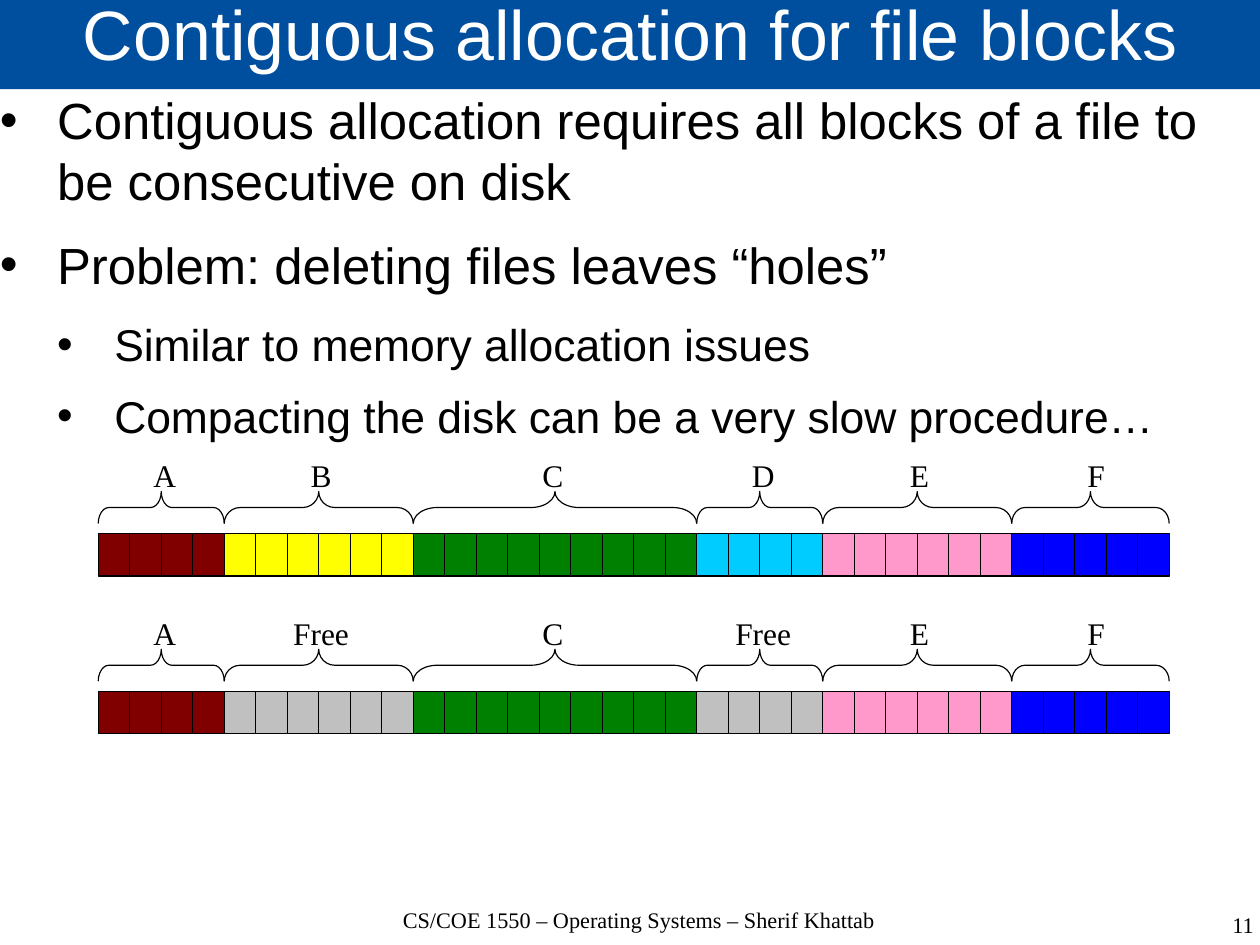
from dataclasses import dataclass

from lxml import etree
from pptx import Presentation
from pptx.dml.color import RGBColor
from pptx.enum.shapes import MSO_SHAPE
from pptx.enum.text import MSO_ANCHOR, MSO_AUTO_SIZE, PP_ALIGN
from pptx.oxml.ns import qn
from pptx.util import Inches, Pt

RECT, BRACE = MSO_SHAPE.RECTANGLE, MSO_SHAPE.RIGHT_BRACE
CENTER, RIGHT = PP_ALIGN.CENTER, PP_ALIGN.RIGHT
MIDDLE, TOP = MSO_ANCHOR.MIDDLE, MSO_ANCHOR.TOP
NO_FIT, GROW = MSO_AUTO_SIZE.NONE, MSO_AUTO_SIZE.SHAPE_TO_FIT_TEXT
CM_PER_INCH = 2.54


@dataclass(frozen=True)
class Theme:
    sans: str = "Arial"
    serif: str = "Times New Roman"
    title: float = 44
    bullets: tuple = (32, 28)
    label: float = 19.8
    footer: float = 14
    line: float = 0.75
    banner: str = "004F9E"
    white: str = "FFFFFF"
    ink: str = "000000"
    maroon: str = "800000"
    yellow: str = "FFFF00"
    green: str = "008000"
    cyan: str = "00CCFF"
    pink: str = "FF99CC"
    blue: str = "0000FF"
    gray: str = "C0C0C0"


T = Theme()
BULLETS = [
    (0, "Contiguous allocation requires all blocks of a file to be consecutive on disk"),
    (0, "Problem: deleting files leaves “holes”"),
    (1, "Similar to memory allocation issues"),
    (1, "Compacting the disk can be a very slow procedure…"),
]
FILES = [
    ("A", 4, T.maroon, 0.03),
    ("B", 6, T.yellow, 0.02),
    ("C", 9, T.green, -0.02),
    ("D", 4, T.cyan, 0.03),
    ("E", 6, T.pink, 0.02),
    ("F", 5, T.blue, 0.05),
]
DELETED = ("B", "D")


def rgb(color):
    return RGBColor.from_string(color)


def add_run(p, text, size, font, color=T.ink):
    r = p.add_run()
    r.text = text
    r.font.size = Pt(size)
    r.font.name = font
    r.font.color.rgb = rgb(color)


def set_frame(tf, anchor=TOP):
    tf.margin_left = tf.margin_right = tf.margin_top = tf.margin_bottom = 0
    tf.auto_size = NO_FIT
    tf.word_wrap = True
    tf.vertical_anchor = anchor


def add_shape(s, kind, x, y, w, h, fill=None):
    sp = s.shapes.add_shape(kind, Inches(x), Inches(y), Inches(w), Inches(h))
    sp.shadow.inherit = False
    if fill:
        sp.fill.solid()
        sp.fill.fore_color.rgb = rgb(fill)
    else:
        sp.fill.background()
    sp.line.color.rgb = rgb(T.ink)
    sp.line.width = Pt(T.line)
    return sp


def add_title(s, x, y, w, h):
    sp = s.shapes.title
    sp.left, sp.top, sp.width, sp.height = map(Inches, (x, y, w, h))
    sp.fill.solid()
    sp.fill.fore_color.rgb = rgb(T.banner)
    set_frame(sp.text_frame, MIDDLE)
    p = sp.text_frame.paragraphs[0]
    p.alignment = CENTER
    p.line_spacing = 0.69
    add_run(p, "Contiguous allocation for file blocks", T.title, T.sans, T.white)


def add_bullet(p, level):
    pPr = p._p.get_or_add_pPr()
    pPr.set("marL", str(Inches(0.5 * (level + 1))))
    pPr.set("indent", str(-Inches(0.5)))
    color = etree.SubElement(pPr, qn("a:buClr"))
    etree.SubElement(color, qn("a:srgbClr"), val=T.ink)
    etree.SubElement(pPr, qn("a:buFont"), typeface=T.sans)
    etree.SubElement(pPr, qn("a:buChar"), char="•")


def add_bullets(s, x, y, w, h):
    tf = s.shapes.add_textbox(Inches(x), Inches(y), Inches(w), Inches(h)).text_frame
    set_frame(tf)
    for i, (level, text) in enumerate(BULLETS):
        p = tf.add_paragraph() if i else tf.paragraphs[0]
        p.level = level
        p.line_spacing = 1.0
        p.space_after = Pt((14.2, 11.4)[level])
        add_bullet(p, level)
        add_run(p, text, T.bullets[level], T.sans)


def add_footer(s, text, align, x, y, w, h):
    tf = s.shapes.add_textbox(Inches(x), Inches(y), Inches(w), Inches(h)).text_frame
    set_frame(tf)
    p = tf.paragraphs[0]
    p.alignment = align
    p.line_spacing = 0.96
    add_run(p, text, T.footer, T.serif)


def add_label(s, text, center, y):
    w = 0.3 + 0.1 * len(text)
    sp = s.shapes.add_textbox(Inches(center - w / 2), Inches(y), Inches(w), Inches(0.43))
    tf = sp.text_frame
    tf.word_wrap = False
    tf.auto_size = GROW
    p = tf.paragraphs[0]
    p.alignment = CENTER
    add_run(p, text, T.label, T.serif)


def add_brace(s, center, y, w, depth, count):
    sp = add_shape(s, BRACE, center - depth / 2, y + depth / 2 - w / 2, depth, w)
    sp.rotation = 270
    sp.adjustments[0] = count / 12
    sp.adjustments[1] = 0.5


def add_disk(s, x, y, w, h, deleted=()):
    block = w / sum(count for _, count, _, _ in FILES)
    block_h = 0.37
    for name, count, color, nudge in FILES:
        free = name in deleted
        span = count * block
        center = x + span / 2
        for i in range(count):
            add_shape(s, RECT, x + i * block, y + h - block_h, block, block_h,
                      T.gray if free else color)
        add_brace(s, center, y + 0.36, span, 0.28, count)
        add_label(s, "Free" if free else name, center + nudge, y)
        x += span


def main():
    prs = Presentation()
    prs.slide_width = Inches(28 / CM_PER_INCH)
    prs.slide_height = Inches(21 / CM_PER_INCH)
    s = prs.slides.add_slide(prs.slide_layouts[5])
    add_title(s, 0, -0.03, 11.04, 0.81)
    add_bullets(s, 0, 0.78, 11.04, 7.18)
    add_footer(s, "CS/COE 1550 – Operating Systems – Sherif Khattab", CENTER,
               3.07, 7.94, 5.04, 0.55)
    add_footer(s, "11", RIGHT, 8.44, 7.99, 2.53, 0.55)
    add_disk(s, 0.86, 3.94, 9.37, 1.1)
    add_disk(s, 0.86, 5.32, 9.37, 1.1, DELETED)
    prs.save("out.pptx")


if __name__ == "__main__":
    main()
